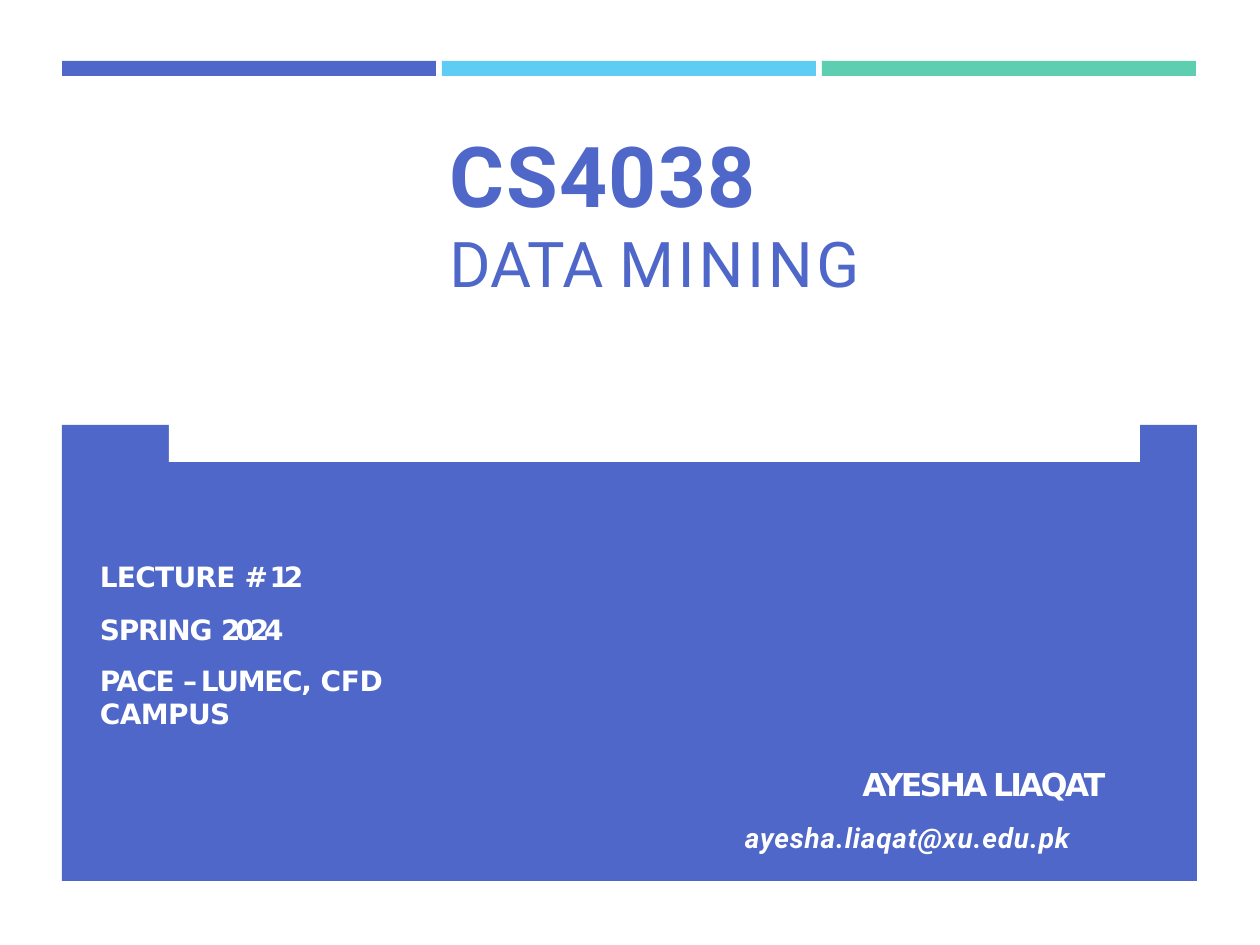
from typing import NamedTuple

from pptx import Presentation
from pptx.dml.color import RGBColor as Rgb
from pptx.enum.shapes import MSO_SHAPE as Kind
from pptx.enum.text import PP_ALIGN as Align
from pptx.util import Emu, Pt

SCALE = 914400 / 126


class Theme:
    blue = "4E67C8"
    sky = "5ECCF3"
    green = "5DCEAF"
    white = "FFFFFF"
    head = "Roboto"
    body = "DejaVu Sans"
    title = 48
    course = 36
    name = 18
    info = 16


class Box(NamedTuple):
    left: int
    top: int
    width: int
    height: int


class Bit(NamedTuple):
    """A stretch of text with its letter spacing in points."""
    text: str
    track: float = 0


class Look(NamedTuple):
    face: str
    size: int
    color: str
    bold: bool = False
    italic: bool = False


class Line(NamedTuple):
    bits: list[Bit]
    look: Look
    before: float
    align: Align = Align.LEFT
    indent: int = 0


class Note(NamedTuple):
    box: Box
    inset: int
    lines: list[Line]


TITLE = Look(Theme.head, Theme.title, Theme.blue, bold=True)
COURSE = Look(Theme.head, Theme.course, Theme.blue)
INFO = Look(Theme.body, Theme.info, Theme.white, bold=True)
NAME = Look(Theme.body, Theme.name, Theme.white, bold=True)
MAIL = Look(Theme.head, Theme.info, Theme.white, bold=True, italic=True)

LEFT, RIGHT, GAP = 62, 1197, 6
BARS = [Theme.blue, Theme.sky, Theme.green]
PANEL = Box(LEFT, 425, RIGHT - LEFT, 456)
NOTCH = Box(169, 223, 971, 239)

NOTES = [
    Note(Box(450, 123, 542, 105), 1, [
        Line([Bit("CS4038", 0.8)], TITLE, 1),
    ]),
    Note(Box(184, 224, 941, 73), 1, [
        Line([Bit("DATA "), Bit("MINING", 2.1)], COURSE, 0.7, Align.CENTER),
    ]),
    Note(Box(100, 541, 418, 158), 19, [
        Line([Bit("LECTURE ", -0.4), Bit("# ", -4.6), Bit("12", -2.9)],
             INFO, 10.8),
        Line([Bit("SPRING ", -0.7), Bit("2024", -2.9)], INFO, 10.8),
        Line([Bit("PACE ", -0.8), Bit("– ", -3.5), Bit("LUMEC, ", -0.7),
              Bit("CFD ", -0.1), Bit("CAMPUS", -0.3)], INFO, 9.8),
    ]),
    Note(Box(745, 742, 416, 112), 23, [
        Line([Bit("AYESHA LIAQAT", -1.6)], NAME, 12.7, Align.CENTER, 62),
        Line([Bit("ayesha.liaqat@xu.edu.pk", 0.5)], MAIL, 10.4),
    ]),
]


def px(count: float) -> Emu:
    return Emu(round(count * SCALE))


def place(box: Box) -> list[Emu]:
    return [px(side) for side in box]


def draw_block(slide, box: Box, color: str) -> None:
    block = slide.shapes.add_shape(Kind.RECTANGLE, *place(box))
    block.shadow.inherit = False
    block.fill.solid()
    block.fill.fore_color.rgb = Rgb.from_string(color)
    block.line.fill.background()


def draw_bars(slide) -> None:
    width = (RIGHT - LEFT - GAP * (len(BARS) - 1)) // len(BARS)
    for step, color in enumerate(BARS):
        draw_block(slide, Box(LEFT + step * (width + GAP), 61, width, 15), color)


def set_font(font, look: Look) -> None:
    font.name, font.size = look.face, Pt(look.size)
    font.bold, font.italic = look.bold, look.italic
    font.color.rgb = Rgb.from_string(look.color)


def write_line(para, line: Line) -> None:
    para.alignment = line.align
    para.space_before = Pt(line.before)
    if line.indent:
        para._p.get_or_add_pPr().set("marL", str(px(line.indent)))
    for bit in line.bits:
        run = para.add_run()
        run.text = bit.text
        if bit.track:
            run._r.get_or_add_rPr().set("spc", str(round(bit.track * 100)))
    # Some viewers skip paragraph fonts, so the runs carry them too.
    for font in (para.font, *(run.font for run in para.runs)):
        set_font(font, line.look)


def draw_note(slide, note: Note) -> None:
    frame = slide.shapes.add_textbox(*place(note.box)).text_frame
    frame.word_wrap = True
    frame.margin_left = frame.margin_right = frame.margin_bottom = 0
    frame.margin_top = px(note.inset)
    for step, line in enumerate(note.lines):
        para = frame.add_paragraph() if step else frame.paragraphs[0]
        write_line(para, line)


def main() -> None:
    deck = Presentation()
    deck.slide_width, deck.slide_height = px(1260), px(945)
    slide = deck.slides.add_slide(deck.slide_layouts[6])
    draw_bars(slide)
    draw_block(slide, PANEL, Theme.blue)
    draw_block(slide, NOTCH, Theme.white)
    for note in NOTES:
        draw_note(slide, note)
    deck.save("out.pptx")


if __name__ == "__main__":
    main()
